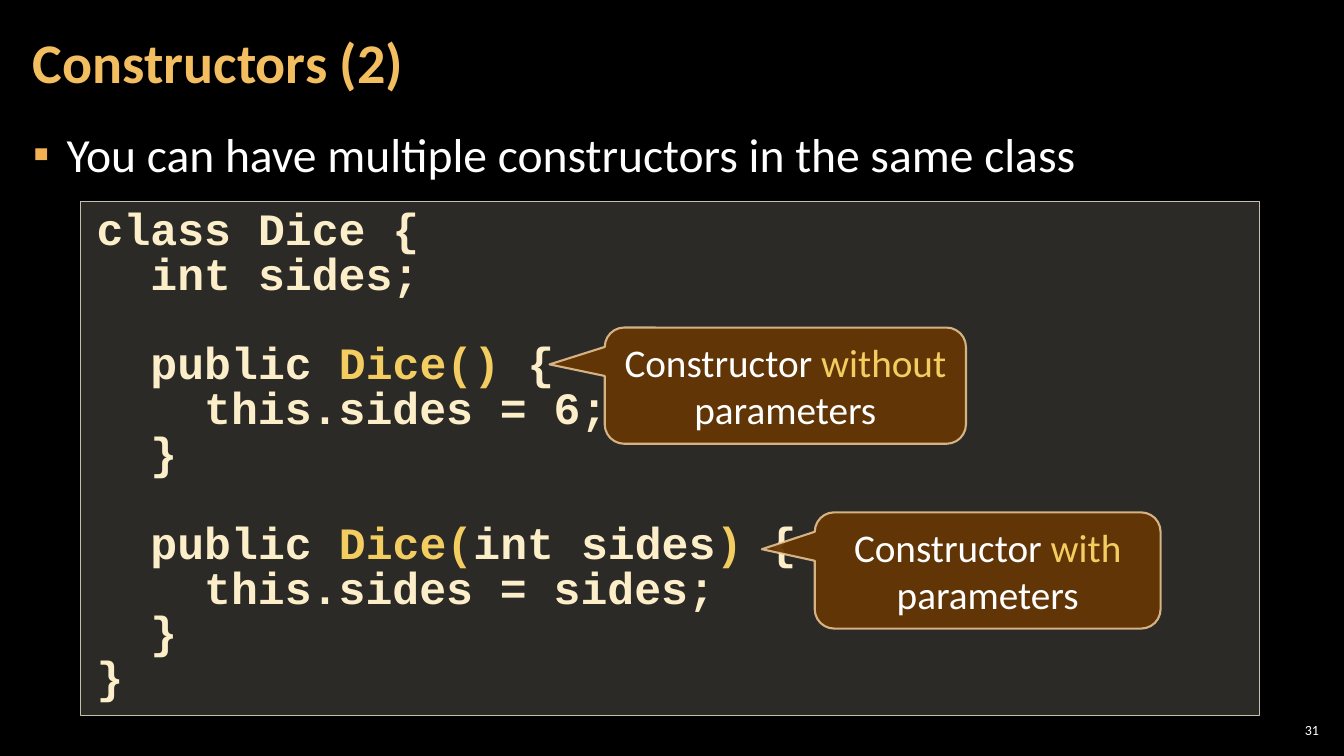
from lxml import etree
from pptx import Presentation
from pptx.dml.color import RGBColor
from pptx.enum.shapes import MSO_SHAPE
from pptx.enum.text import MSO_ANCHOR, MSO_AUTO_SIZE, PP_ALIGN
from pptx.oxml.ns import qn
from pptx.util import Pt

BLACK = RGBColor(0x00, 0x00, 0x00)
WHITE = RGBColor(0xFF, 0xFF, 0xFF)
TITLE = RGBColor(0xF3, 0xBE, 0x60)
BULLET = RGBColor(0xF2, 0xB2, 0x54)
CODE = RGBColor(0xFB, 0xEE, 0xC9)
ACCENT = RGBColor(0xF3, 0xCD, 0x60)
PANEL = RGBColor(0xD9, 0xD5, 0xC7)
PANEL_LINE = RGBColor(0xC7, 0xBF, 0xAC)
CALLOUT = RGBColor(0x66, 0x36, 0x06)
CALLOUT_LINE = RGBColor(0xF8, 0xD4, 0x9E)


def add_run(p, text, size=28, color=WHITE, font="Calibri", bold=False):
    r = p.add_run()
    r.text = text
    r.font.size = Pt(size)
    r.font.color.rgb = color
    r.font.name = font
    r.font.bold = bold


def add_box(kind, box, fill, line, width, opacities):
    sp = slide.shapes.add_shape(kind, *map(Pt, box))
    sp.shadow.inherit = False
    sp.fill.solid()
    sp.fill.fore_color.rgb = fill
    sp.line.color.rgb = line
    sp.line.width = Pt(width)
    # Opacity in percent: fill first, then line
    for clr, opacity in zip(sp._element.spPr.iter(qn("a:srgbClr")), opacities):
        etree.SubElement(clr, qn("a:alpha"), val=str(opacity * 1000))
    sp.text_frame.word_wrap = True
    return sp


prs = Presentation()
prs.slide_width, prs.slide_height = Pt(960), Pt(540)
slide = prs.slides.add_slide(prs.slide_layouts[1])
slide.background.fill.solid()
slide.background.fill.fore_color.rgb = BLACK

# Title and body placeholders
title, body = slide.placeholders
for sp, box, anchor in [
    (title, (15, 3, 754, 87), MSO_ANCHOR.MIDDLE),
    (body, (15, 84, 930, 438), MSO_ANCHOR.TOP),
]:
    sp.left, sp.top, sp.width, sp.height = map(Pt, box)
    tf = sp.text_frame
    tf.auto_size = MSO_AUTO_SIZE.NONE
    tf.word_wrap = True
    tf.vertical_anchor = anchor
    tf.margin_left = tf.margin_right = Pt(8.5)
    tf.margin_top = tf.margin_bottom = Pt(2.9)

p = title.text_frame.paragraphs[0]
p.alignment = PP_ALIGN.LEFT
p.line_spacing = 0.9
add_run(p, "Constructors (2)", size=40, color=TITLE, bold=True)

p = body.text_frame.paragraphs[0]
p.line_spacing = 1.05
p.space_before = p.space_after = Pt(6)
add_run(p, "You can have multiple constructors in the same class", size=34)
pPr = p._p.get_or_add_pPr()
pPr.set("marL", str(Pt(24)))
pPr.set("indent", str(-Pt(24)))
buClr = etree.SubElement(pPr, qn("a:buClr"))
etree.SubElement(buClr, qn("a:srgbClr"), val=str(BULLET))
etree.SubElement(pPr, qn("a:buChar"), char="▪")

# Code panel: indent level, lines skipped before, coloured parts
code_lines = [
    (0, 0, [("class Dice {", CODE)]),
    (1, 0, [("int sides;", CODE)]),
    (1, 1, [("public ", CODE), ("Dice()", ACCENT), (" {", CODE)]),
    (2, 0, [("this.sides = 6;", CODE)]),
    (1, 0, [("}", CODE)]),
    (1, 1, [("public ", CODE), ("Dice(", ACCENT), ("int sides", CODE),
            (")", ACCENT), (" {", CODE)]),
    (2, 0, [("this.sides = sides;", CODE)]),
    (1, 0, [("}", CODE)]),
    (0, 0, [("}", CODE)]),
]
sp = add_box(MSO_SHAPE.RECTANGLE, (57.6, 144, 842, 367), PANEL, PANEL_LINE, 1, (20, 100))
tf = sp.text_frame
tf.vertical_anchor = MSO_ANCHOR.TOP
tf.margin_left = tf.margin_right = Pt(11.5)
tf.margin_top = tf.margin_bottom = Pt(5.8)
for i, (level, skipped, parts) in enumerate(code_lines):
    p = tf.add_paragraph() if i else tf.paragraphs[0]
    p.alignment = PP_ALIGN.LEFT
    p.line_spacing = Pt(32)
    p.space_before = Pt(32 * skipped)
    p._p.get_or_add_pPr().set("marL", str(Pt(38.4 * level)))
    for text, color in parts:
        add_run(p, text, size=32, color=color, font="Courier New", bold=True)

# Callouts
for word, box in [("with", (582, 366, 247, 83)), ("without", (432, 234, 258, 83))]:
    sp = add_box(MSO_SHAPE.ROUNDED_RECTANGULAR_CALLOUT, box, CALLOUT, CALLOUT_LINE, 1.5, (95, 80))
    for i, value in enumerate((-0.653, -0.183, 0.167)):
        sp.adjustments[i] = value
    sp.text_frame.vertical_anchor = MSO_ANCHOR.MIDDLE
    p = sp.text_frame.paragraphs[0]
    p.alignment = PP_ALIGN.CENTER
    add_run(p, "Constructor ")
    add_run(p, word, color=ACCENT)
    add_run(p, " parameters")

# Slide number
tf = slide.shapes.add_textbox(Pt(911), Pt(514), Pt(34), Pt(15)).text_frame
tf.word_wrap = True
tf.vertical_anchor = MSO_ANCHOR.MIDDLE
tf.margin_left = tf.margin_right = tf.margin_top = tf.margin_bottom = Pt(2.9)
p = tf.paragraphs[0]
p.alignment = PP_ALIGN.RIGHT
add_run(p, "31", size=10)

prs.save("out.pptx")
